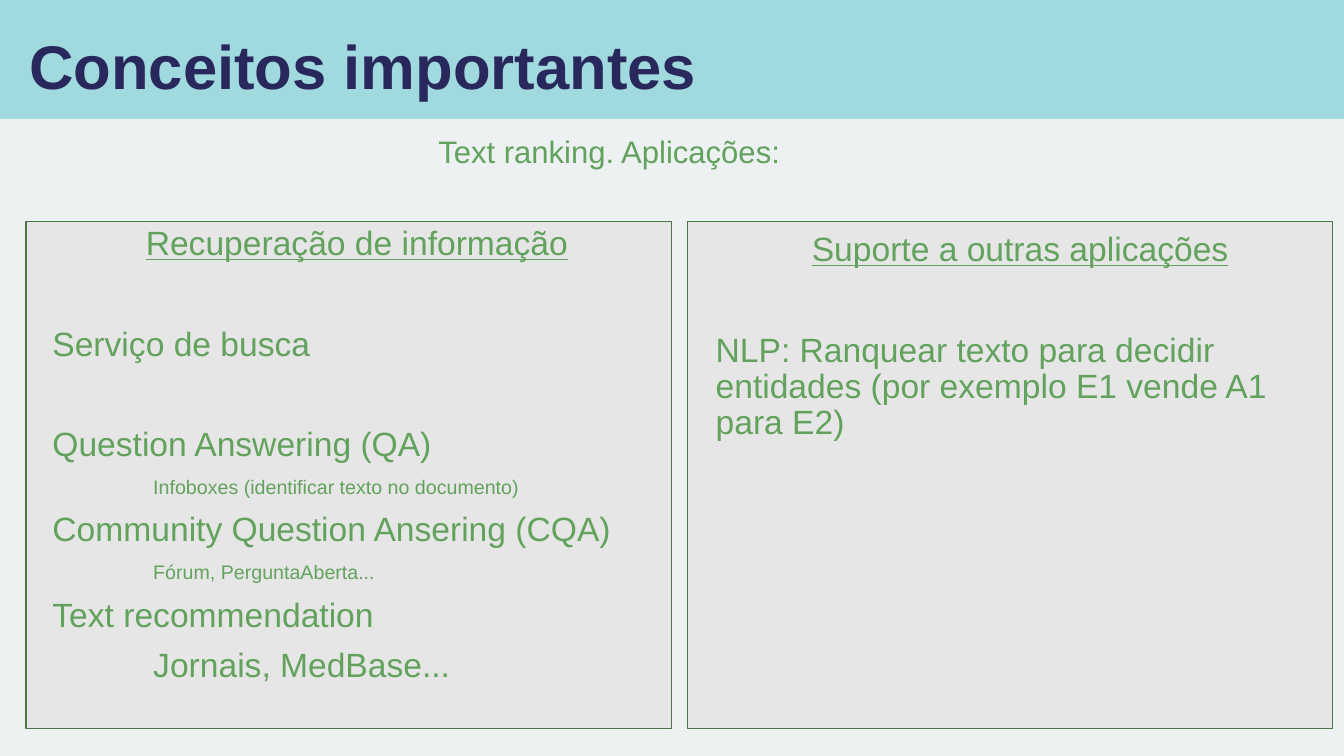
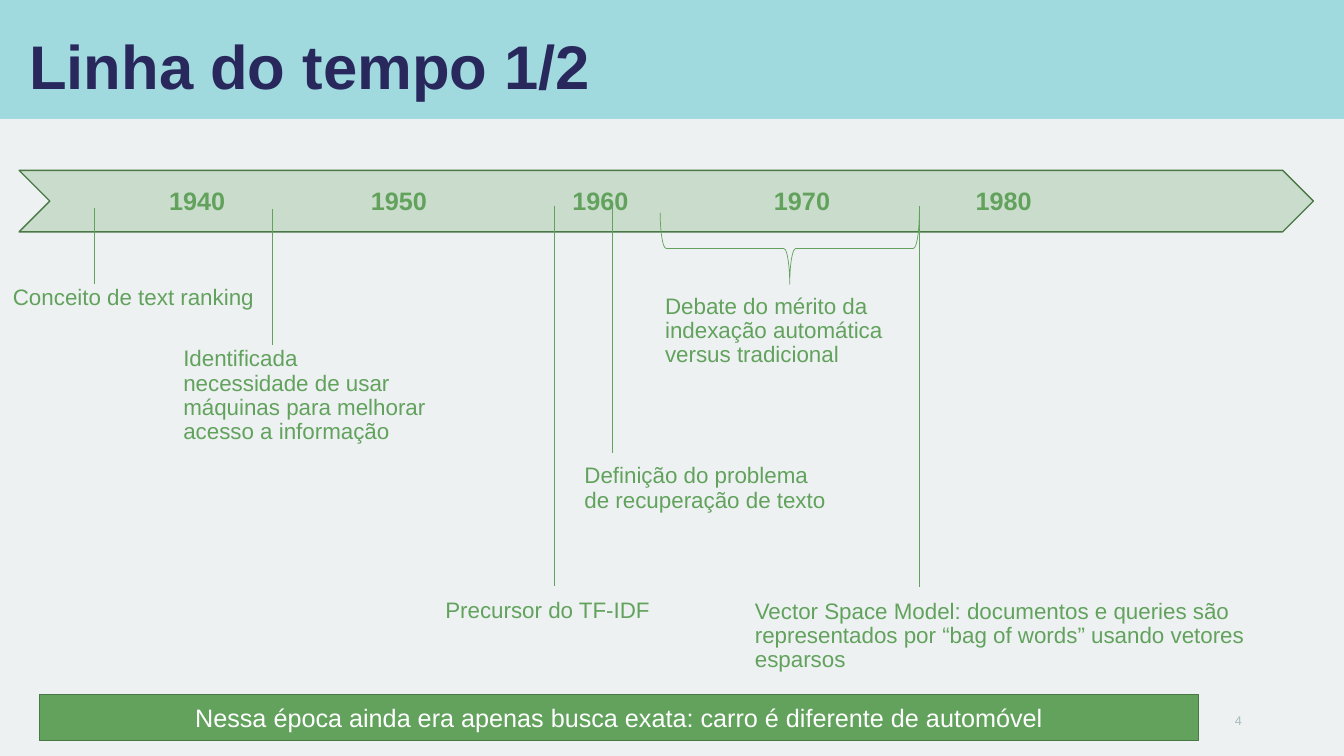
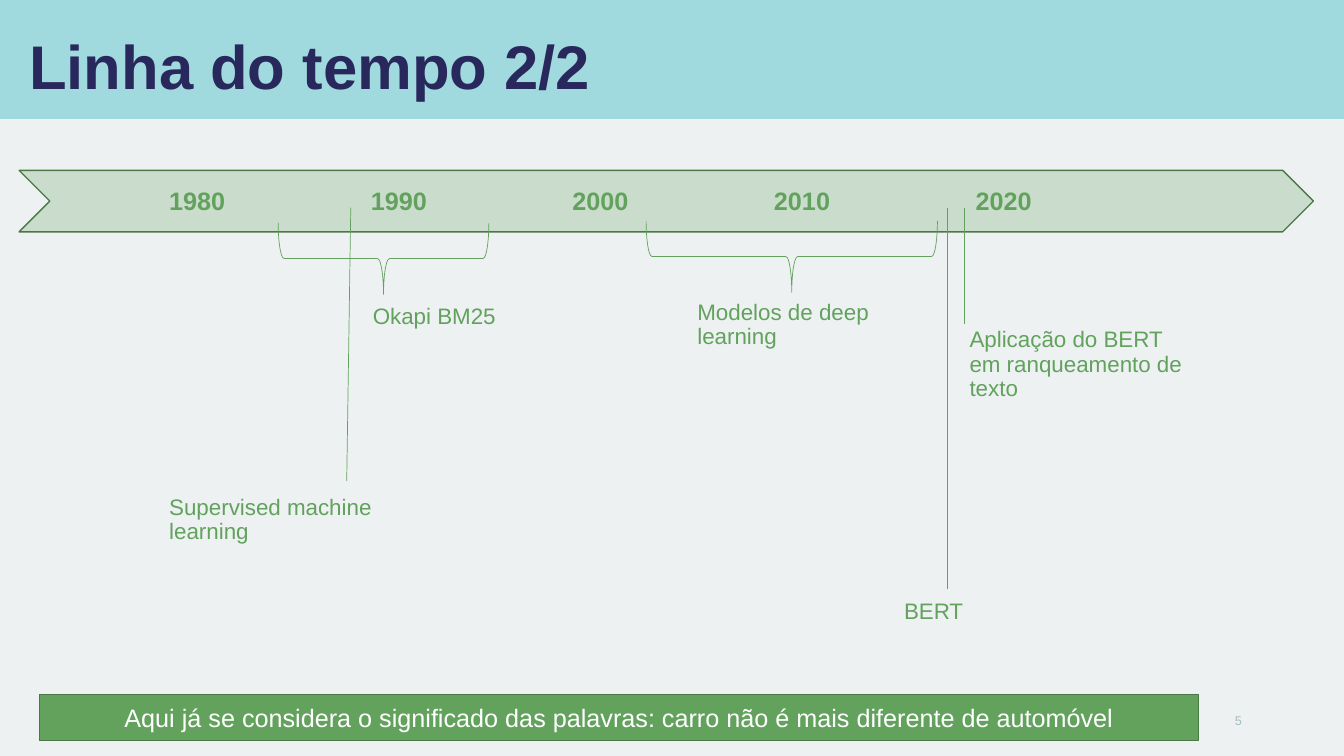
from dataclasses import dataclass
from typing import Any, NamedTuple, Optional

import lxml.etree
import pptx
import pptx.dml.color
import pptx.enum.shapes
import pptx.enum.text
import pptx.oxml.ns
import pptx.util

Pt = pptx.util.Pt
Align = pptx.enum.text.PP_ALIGN
Anchor = pptx.enum.text.MSO_ANCHOR
Geometry = pptx.enum.shapes.MSO_SHAPE
qn = pptx.oxml.ns.qn

COLORS = {
    "background": "EDF1F2",
    "band": "A0DADE",
    "title": "29285D",
    "green": "62A25D",
    "outline": "497845",
    "panel": "E7E6E6",
    "number": "A7BBC0",
    "white": "FFFFFF",
}

# Colour name and font attributes of each kind of text.
STYLES: dict[str, tuple[str, dict[str, Any]]] = {
    "title": ("title", {"size": Pt(44), "bold": True}),
    "subtitle": ("green", {"size": Pt(22.2)}),
    "heading": ("green", {"size": Pt(24), "underline": True}),
    "item": ("green", {"size": Pt(24)}),
    "detail": ("green", {"size": Pt(14)}),
    "event": ("green", {"size": Pt(16)}),
    "years": ("green", {"size": Pt(18), "bold": True}),
    "message": ("white", {"size": Pt(18)}),
    "number": ("number", {"size": Pt(9)}),
}

TITLE_LAYOUT, COLUMNS_LAYOUT = 5, 3
YEAR_PITCH = 144
DETAIL_INDENT = 72
GAP = 10
WIDE_GAP = 45.7  # one 24 pt line plus its spacing on top of GAP
BRACE_DEPTH = 51.12


class Box(NamedTuple):
    left: float
    top: float
    width: float
    height: float

    def lengths(self) -> list[int]:
        return [Pt(length) for length in self]


class Tick(NamedTuple):
    x: float
    top: float
    bottom: float
    drift: float = 0


class Span(NamedTuple):
    start: float
    top: float
    width: float


class Line(NamedTuple):
    text: str
    style: str = "item"
    before: float = GAP
    indent: float = 0
    align: Any = Align.LEFT


@dataclass
class Column:
    panel: Box
    body: Box
    lines: list[Line]


@dataclass
class Event:
    text: str
    box: Box
    tick: Optional[Tick] = None
    span: Optional[Span] = None


@dataclass
class Timeline:
    title: str
    number: int
    first_year: int
    events: list[Event]
    message: str


BAND = Box(0, 0, 960, 85)
TITLE = Box(13.68, 19.44, 504, 57.6)
SUBTITLE = Box(306, 94.32, 272.88, 41.76)
NUMBER = Box(678.24, 500.4, 216, 28.8)
ARROW = Box(13.68, 121.68, 924.48, 43.92)
YEARS = Box(113.76, 128.88, 791.28, 28.8)
MESSAGE = Box(28.08, 496.08, 828, 33.12)

COLUMNS = [
    Column(
        Box(18.72, 158.4, 460.8, 362.16),
        Box(30.24, 158.4, 449.28, 370.8),
        [
            Line("Recuperação de informação", "heading", align=Align.CENTER),
            Line("Serviço de busca", before=WIDE_GAP),
            Line("Question Answering (QA)", before=WIDE_GAP),
            Line("Infoboxes (identificar texto no documento)", "detail", indent=DETAIL_INDENT),
            Line("Community Question Ansering (CQA)"),
            Line("Fórum, PerguntaAberta...", "detail", indent=DETAIL_INDENT),
            Line("Text recommendation"),
            Line("Jornais, MedBase...", indent=DETAIL_INDENT),
        ],
    ),
    Column(
        Box(491.04, 158.4, 460.8, 362.16),
        Box(504, 162.72, 449.28, 370.8),
        [
            Line("Suporte a outras aplicações", "heading", align=Align.CENTER),
            Line(
                "NLP: Ranquear texto para decidir entidades (por exemplo E1 vende A1 para E2)",
                before=WIDE_GAP,
            ),
        ],
    ),
]

TIMELINES = [
    Timeline(
        "Linha do tempo 1/2", 4, 1940,
        [
            Event(
                "Identificada necessidade de usar máquinas para melhorar acesso a informação",
                Box(123.84, 244.8, 187.2, 90.72), Tick(194.4, 149.04, 246.24),
            ),
            Event(
                "Conceito de text ranking",
                Box(2.16, 200.88, 187.2, 90.72), Tick(67.68, 148.32, 203.04),
            ),
            Event(
                "Precursor do TF-IDF",
                Box(311.04, 424.8, 187.2, 90.72), Tick(396, 146.88, 418.32),
            ),
            Event(
                "Definição do problema de recuperação de texto",
                Box(410.4, 328.32, 187.2, 90.72), Tick(437.76, 146.88, 323.28),
            ),
            Event(
                "Vector Space Model: documentos e queries são representados por "
                "“bag of words” usando vetores esparsos",
                Box(532.08, 424.8, 406.8, 59.04), Tick(656.64, 146.88, 419.04),
            ),
            Event(
                "Debate do mérito da indexação automática versus tradicional",
                Box(468, 207.36, 187.2, 90.72), span=Span(471.6, 151.92, 185.04),
            ),
        ],
        "Nessa época ainda era apenas busca exata: carro é diferente de automóvel",
    ),
    Timeline(
        "Linha do tempo 2/2", 5, 1980,
        [
            Event(
                "Supervised machine learning",
                Box(113.76, 350.64, 169.2, 90.72), Tick(250.56, 148.32, 343.44, -2.88),
            ),
            Event(
                "BERT",
                Box(638.64, 425.52, 169.2, 33.12), Tick(676.8, 148.32, 420.48),
            ),
            Event(
                "Okapi BM25",
                Box(259.2, 214.56, 169.2, 33.12), span=Span(198.72, 159.12, 150.48),
            ),
            Event(
                "Aplicação do BERT em ranqueamento de texto",
                Box(685.44, 231.12, 169.2, 70.56), Tick(689.04, 148.32, 231.12),
            ),
            Event(
                "Modelos de deep learning",
                Box(491.04, 211.68, 169.2, 33.12), span=Span(461.52, 157.68, 208.08),
            ),
        ],
        "Aqui já se considera o significado das palavras: carro não é mais diferente de automóvel",
    ),
]


def rgb(name: str) -> pptx.dml.color.RGBColor:
    return pptx.dml.color.RGBColor.from_string(COLORS[name])


def write(paragraph, text: str, style: str, **layout: Any) -> None:
    """Add a styled run and set the paragraph attributes given in layout."""
    color, font_values = STYLES[style]
    run = paragraph.add_run()
    run.text = text
    run.font.name = "Arial"
    run.font.color.rgb = rgb(color)
    for attribute, value in font_values.items():
        setattr(run.font, attribute, value)
    for attribute, value in layout.items():
        setattr(paragraph, attribute, value)


def place(shape, box: Box) -> None:
    for attribute, value in zip(("left", "top", "width", "height"), box.lengths()):
        setattr(shape, attribute, value)


def add_text(slide, box: Box, text: str, style: str, **layout: Any):
    frame = slide.shapes.add_textbox(*box.lengths()).text_frame
    frame.word_wrap = True
    write(frame.paragraphs[0], text, style, **layout)
    return frame


def add_figure(slide, geometry, box: Box, fill: Optional[str] = None,
               outline: Optional[str] = None, weight: float = 1):
    figure = slide.shapes.add_shape(geometry, *box.lengths())
    figure.shadow.inherit = False
    if fill:
        figure.fill.solid()
        figure.fill.fore_color.rgb = rgb(fill)
    else:
        figure.fill.background()
    if outline:
        figure.line.color.rgb = rgb(outline)
        figure.line.width = Pt(weight)
    else:
        figure.line.fill.background()
    return figure


def add_slide(deck, layout: int, heading: str):
    slide = deck.slides.add_slide(deck.slide_layouts[layout])
    title = slide.shapes.title
    place(title, TITLE)
    frame = title.text_frame
    frame.word_wrap = True
    frame.auto_size = pptx.enum.text.MSO_AUTO_SIZE.NONE
    frame.vertical_anchor = Anchor.BOTTOM
    write(frame.paragraphs[0], heading, "title", alignment=Align.LEFT, line_spacing=0.9)
    return slide


def move_band_to_master(deck, slide) -> None:
    """Draw the title band once, behind everything on the master."""
    band = add_figure(slide, Geometry.RECTANGLE, BAND, "band")
    band.element.nvSpPr.cNvPr.set("id", "20")
    deck.slide_master.placeholders[0].element.addprevious(band.element)


def add_column(slide, column: Column, body) -> None:
    panel = add_figure(slide, Geometry.RECTANGLE, column.panel, "panel", "outline")
    slide.shapes.title.element.addprevious(panel.element)
    place(body, column.body)
    frame = body.text_frame
    frame.auto_size = pptx.enum.text.MSO_AUTO_SIZE.NONE
    for index, line in enumerate(column.lines):
        paragraph = frame.add_paragraph() if index else frame.paragraphs[0]
        write(paragraph, line.text, line.style, alignment=line.align,
              line_spacing=0.9, space_before=Pt(line.before))
        properties = paragraph._p.get_or_add_pPr()
        properties.set("marL", str(Pt(line.indent)))
        properties.set("indent", "0")
        lxml.etree.SubElement(properties, qn("a:buNone"))


def add_tick(slide, tick: Tick) -> None:
    connector = slide.shapes.add_connector(
        pptx.enum.shapes.MSO_CONNECTOR.STRAIGHT,
        Pt(tick.x), Pt(tick.top), Pt(tick.x + tick.drift), Pt(tick.bottom),
    )
    connector.line.color.rgb = rgb("green")
    connector.line.width = Pt(0.5)
    lxml.etree.SubElement(connector.element.spPr, qn("a:effectLst"))


def add_brace(slide, span: Span) -> None:
    """Draw a left brace turned so that it hangs below its span."""
    unturned = Box(
        span.start + (span.width - BRACE_DEPTH) / 2,
        span.top + (BRACE_DEPTH - span.width) / 2,
        BRACE_DEPTH, span.width,
    )
    add_figure(slide, Geometry.LEFT_BRACE, unturned, None, "green", 0.5).rotation = 270


def add_years(slide, first_year: int) -> None:
    arrow = add_figure(slide, Geometry.CHEVRON, ARROW, "green", "outline")
    tint = arrow.element.spPr.find(qn("a:solidFill"))[0]
    lxml.etree.SubElement(tint, qn("a:alpha"), val="25000")

    years = [str(first_year + 10 * step) for step in range(5)]
    frame = add_text(slide, YEARS, "\t".join(years), "years")
    properties = frame.paragraphs[0]._p.get_or_add_pPr()
    stops = lxml.etree.SubElement(properties, qn("a:tabLst"))
    for step in range(1, len(years)):
        lxml.etree.SubElement(stops, qn("a:tab"), pos=str(Pt(YEAR_PITCH * step)), algn="l")


def add_timeline(deck, timeline: Timeline) -> None:
    slide = add_slide(deck, TITLE_LAYOUT, timeline.title)
    number = add_text(slide, NUMBER, str(timeline.number), "number", alignment=Align.RIGHT)
    number.vertical_anchor = Anchor.MIDDLE
    add_years(slide, timeline.first_year)
    for event in timeline.events:
        if event.tick:
            add_tick(slide, event.tick)
        if event.span:
            add_brace(slide, event.span)
        add_text(slide, event.box, event.text, "event",
                 line_spacing=0.9, space_before=Pt(GAP))
    message = add_figure(slide, Geometry.RECTANGLE, MESSAGE, "green", "outline").text_frame
    message.vertical_anchor = Anchor.MIDDLE
    write(message.paragraphs[0], timeline.message, "message", alignment=Align.CENTER)


def main() -> None:
    deck = pptx.Presentation()
    deck.slide_width, deck.slide_height = Pt(960), Pt(540)
    backdrop = deck.slide_master.background.fill
    backdrop.solid()
    backdrop.fore_color.rgb = rgb("background")

    concepts = add_slide(deck, COLUMNS_LAYOUT, "Conceitos importantes")
    move_band_to_master(deck, concepts)
    add_text(concepts, SUBTITLE, "Text ranking. Aplicações:", "subtitle",
             line_spacing=0.9, space_before=Pt(GAP))
    bodies = list(concepts.placeholders)[1:]
    for column, body in zip(COLUMNS, bodies):
        add_column(concepts, column, body)

    for timeline in TIMELINES:
        add_timeline(deck, timeline)
    deck.save("out.pptx")


if __name__ == "__main__":
    main()
